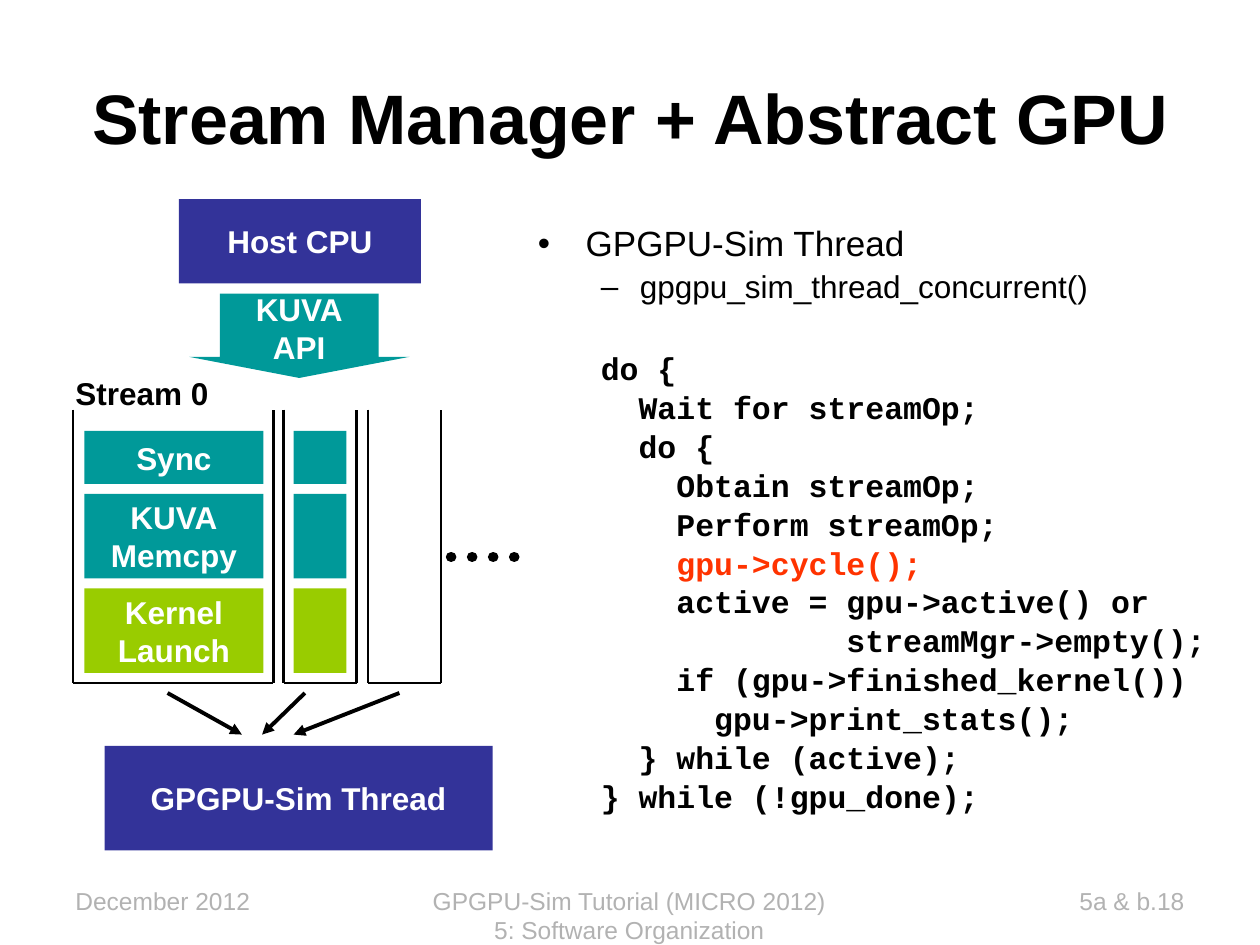
from pptx import Presentation
from pptx import util as u
from pptx.dml.color import RGBColor
from pptx.enum import shapes, text
from pptx.oxml.ns import qn
from lxml import etree

BLACK = RGBColor(0x00, 0x00, 0x00)
WHITE = RGBColor(0xFF, 0xFF, 0xFF)
GREY = RGBColor(0xB2, 0xB2, 0xB2)
NAVY = RGBColor(0x33, 0x33, 0x99)
TEAL = RGBColor(0x00, 0x99, 0x99)
GREEN = RGBColor(0x99, 0xCC, 0x00)
RED = RGBColor(0xFF, 0x33, 0x00)

CODE = [
    (0, "do {"),
    (2, "Wait for streamOp;"),
    (2, "do {"),
    (4, "Obtain streamOp;"),
    (4, "Perform streamOp;"),
    (4, "gpu->cycle();"),
    (4, "active = gpu->active() or"),
    (13, "streamMgr->empty();"),
    (4, "if (gpu->finished_kernel())"),
    (6, "gpu->print_stats();"),
    (2, "} while (active);"),
    (0, "} while (!gpu_done);"),
]
CHAR_WIDTH = 0.15
CODE_LEFT = 0.5


class SlideBuilder:
    sans = "Arial"
    mono = "Courier New"

    def __init__(self, s):
        self.s = s

    def run(self, p, words, size, color=BLACK, bold=False, font=None):
        r = p.add_run()
        r.text = words
        r.font.name = font or self.sans
        r.font.size = u.Pt(size)
        r.font.bold = bold
        r.font.color.rgb = color

    def title(self, words, x, y, w, h):
        sp = self.s.shapes.title
        sp.left, sp.top, sp.width, sp.height = map(u.Inches, (x, y, w, h))
        tf = sp.text_frame
        tf.vertical_anchor = text.MSO_ANCHOR.MIDDLE
        p = tf.paragraphs[0]
        p.alignment = text.PP_ALIGN.CENTER
        self.run(p, words, 40, bold=True)

    def textbox(self, x, y, w, h, wrap=True):
        sp = self.s.shapes.add_textbox(*map(u.Inches, (x, y, w, h)))
        sp.text_frame.word_wrap = wrap
        return sp.text_frame

    def label(self, words, x, y, w, h, size, color, align=text.PP_ALIGN.LEFT,
              bold=False, wrap=True):
        p = self.textbox(x, y, w, h, wrap).paragraphs[0]
        p.alignment = align
        self.run(p, words, size, color, bold)

    def block(self, x, y, w, h, fill, lines=(), kind=shapes.MSO_SHAPE.RECTANGLE):
        sp = self.s.shapes.add_shape(kind, *map(u.Inches, (x, y, w, h)))
        sp.shadow.inherit = False
        sp.fill.solid()
        sp.fill.fore_color.rgb = fill
        sp.line.fill.background()
        tf = sp.text_frame
        tf.word_wrap = False
        tf.vertical_anchor = text.MSO_ANCHOR.MIDDLE
        for i, words in enumerate(lines):
            p = tf.add_paragraph() if i else tf.paragraphs[0]
            p.alignment = text.PP_ALIGN.CENTER
            self.run(p, words, 18, WHITE, True)
        return sp

    def line(self, start, end, width, arrow=False, dotted=False):
        c = self.s.shapes.add_connector(
            shapes.MSO_CONNECTOR.STRAIGHT, *map(u.Inches, (*start, *end)))
        c.line.color.rgb = BLACK
        c.line.width = u.Pt(width)
        ln = c.line._ln
        if dotted:
            ln.set("cap", "rnd")
            etree.SubElement(ln, qn("a:prstDash"), val="sysDot")
        if arrow:
            etree.SubElement(ln, qn("a:tailEnd"), type="triangle")
        etree.SubElement(c._element.spPr, qn("a:effectLst"))

    def queue(self, left, right, top=3.25, bottom=5.42):
        corners = [(left, top), (left, bottom), (right, bottom), (right, top)]
        for start, end in zip(corners, corners[1:]):
            self.line(start, end, 1.5)

    def paragraph(self, p, left, hang=0, before=4, bullet=None):
        p.line_spacing = 0.9
        p.space_before = u.Pt(before)
        pPr = p._p.get_or_add_pPr()
        pPr.set("marL", str(u.Inches(left)))
        pPr.set("indent", str(u.Inches(-hang)))
        if bullet:
            etree.SubElement(pPr, qn("a:buFont"), typeface=self.sans)
            etree.SubElement(pPr, qn("a:buChar"), char=bullet)

    def body(self, x, y, w, h):
        tf = self.textbox(x, y, w, h)
        p = tf.paragraphs[0]
        self.paragraph(p, 0.38, 0.38, bullet="•")
        self.run(p, "GPGPU-Sim Thread", 20)
        p = tf.add_paragraph()
        p.level = 1
        self.paragraph(p, 0.81, 0.31, bullet="–")
        self.run(p, "gpgpu_sim_thread_concurrent()", 18)
        for i, (indent, words) in enumerate(CODE):
            p = tf.add_paragraph()
            p.level = 1
            self.paragraph(p, CODE_LEFT + indent * CHAR_WIDTH,
                           before=2.75 if i else 27.5)
            color = RED if words == "gpu->cycle();" else BLACK
            self.run(p, words, 18, color, True, self.mono)


def main():
    prs = Presentation()
    prs.slide_width, prs.slide_height = u.Inches(10), u.Inches(7.5)
    b = SlideBuilder(prs.slides.add_slide(prs.slide_layouts[5]))

    b.title("Stream Manager + Abstract GPU", 0.5, 0.3, 9, 1.25)
    b.body(4.17, 1.75, 5.67, 5.08)

    for left, right in [(0.58, 2.17), (2.25, 2.83), (2.92, 3.5)]:
        b.queue(left, right)
    operations = [
        (3.42, 0.42, TEAL, ["Sync"]),
        (3.92, 0.67, TEAL, ["KUVA", "Memcpy"]),
        (4.67, 0.67, GREEN, ["Kernel", "Launch"]),
    ]
    for y, h, fill, lines in operations:
        b.block(0.67, y, 1.42, h, fill, lines)
        b.block(2.33, y, 0.42, h, fill)

    b.block(1.42, 1.58, 1.92, 0.67, NAVY, ["Host CPU"])
    b.block(0.83, 5.92, 3.08, 0.83, NAVY, ["GPGPU-Sim Thread"])
    api = b.block(1.5, 2.33, 1.75, 0.67, TEAL, ["KUVA", "API"],
                  shapes.MSO_SHAPE.DOWN_ARROW)
    api.adjustments[0] = 0.72
    api.adjustments[1] = 0.25

    b.label("Stream 0", 0.5, 2.92, 1.26, 0.4, 18, BLACK, bold=True, wrap=False)
    for start, end in [(1.33, 1.92), (2.42, 2.08), (3.17, 2.33)]:
        b.line((start, 5.5), (end, 5.83), 2.25, arrow=True)
    b.line((3.58, 4.42), (4.17, 4.42), 6, dotted=True)

    footers = [
        ("December 2012", 0.5, 2.33, text.PP_ALIGN.LEFT),
        ("GPGPU-Sim Tutorial (MICRO 2012) 5: Software Organization",
         3.33, 3.33, text.PP_ALIGN.CENTER),
        ("5a & b.18", 7.17, 2.33, text.PP_ALIGN.RIGHT),
    ]
    for words, x, w, align in footers:
        b.label(words, x, 6.98, w, 0.52, 14, GREY, align)

    prs.save("out.pptx")


if __name__ == "__main__":
    main()
